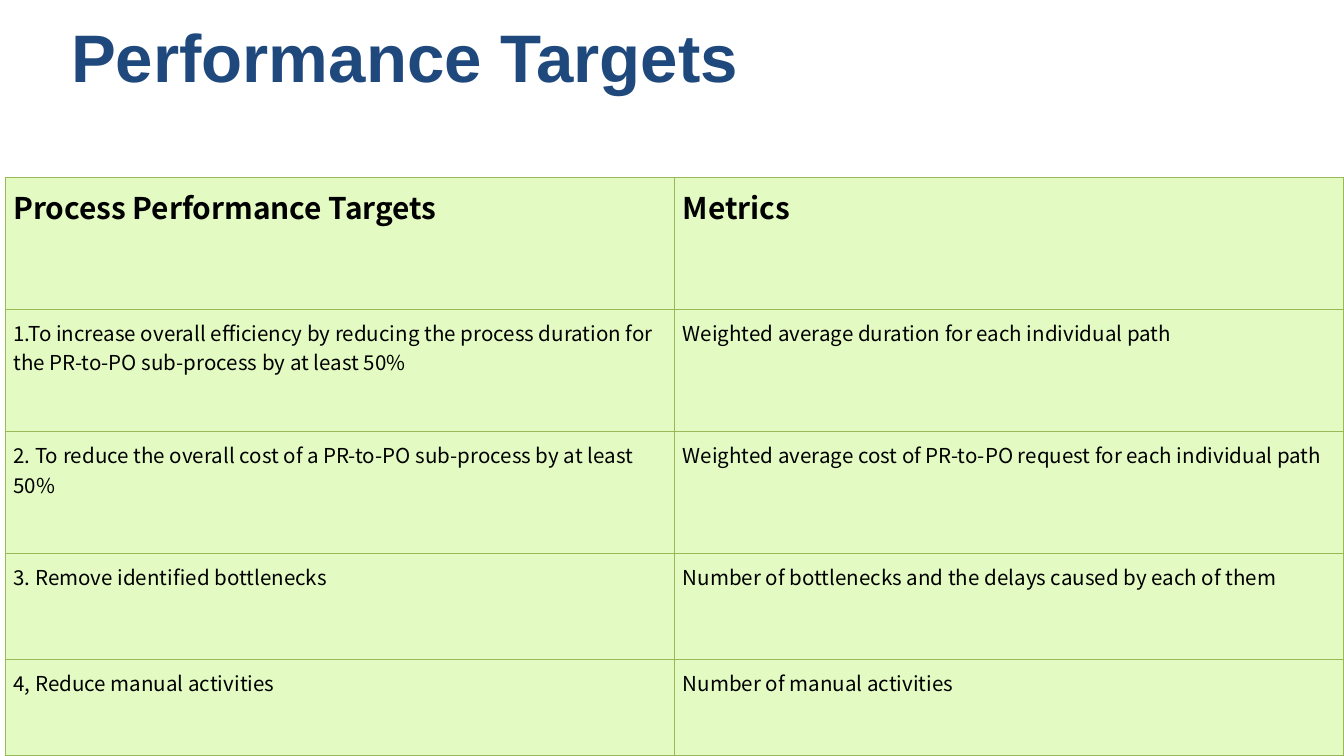
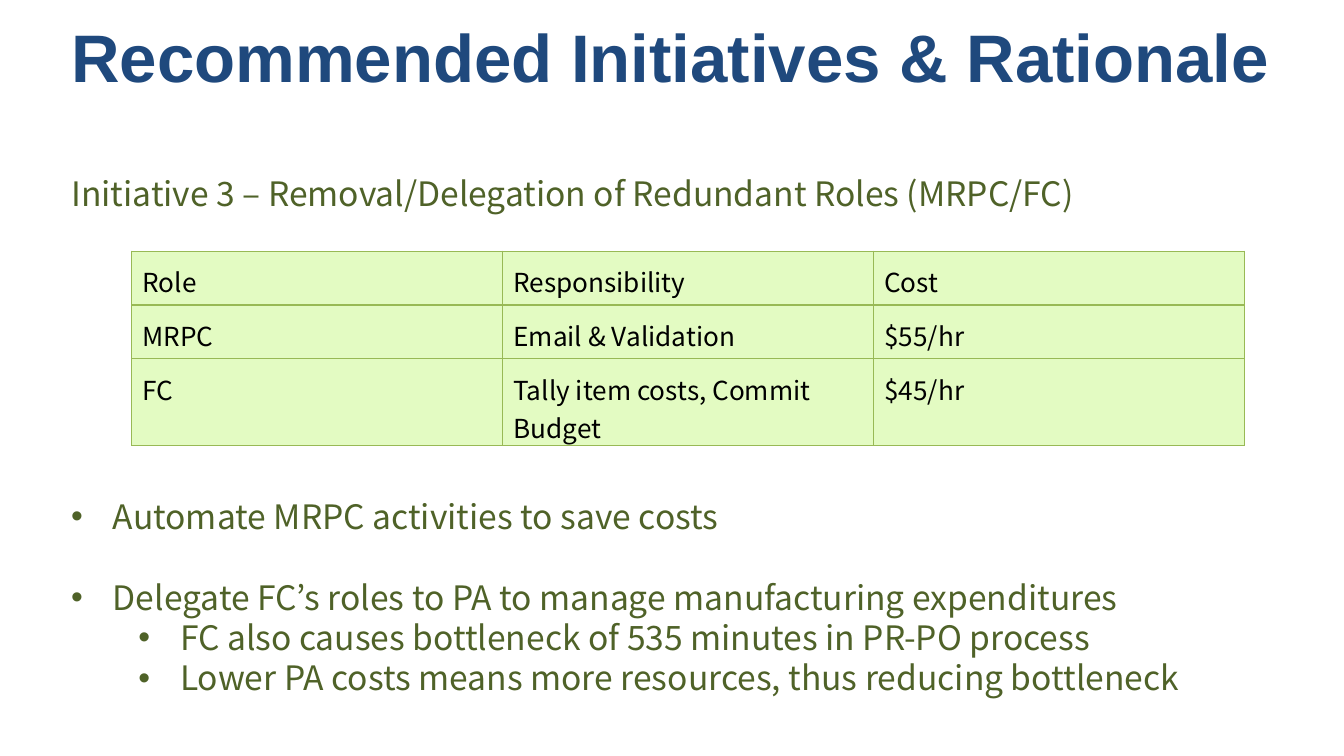
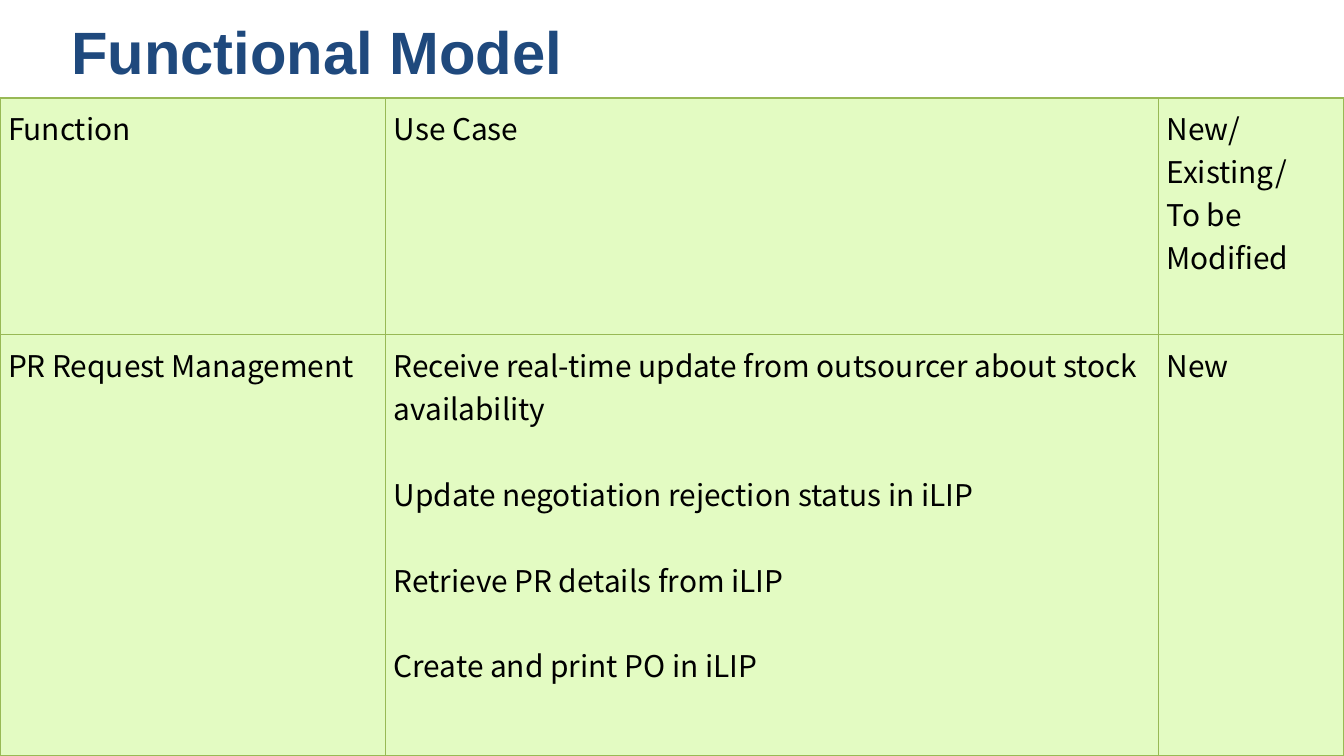
from dataclasses import dataclass

import lxml.etree
import pptx
import pptx.dml.color
import pptx.enum.text
import pptx.oxml.ns
import pptx.slide
import pptx.table
import pptx.text.text
import pptx.util
from pptx.util import Inches

# Shared look
TITLE_FONT = "Arial"
TEXT_FONT = "Noto Sans CJK KR"
TITLE_BLUE = "1F497D"
BODY_GREEN = "4F6228"
CELL_GREEN = "E3FBC2"
BORDER_GREEN = "98B955"
BLACK = "000000"
TITLE_ONLY, TITLE_AND_BODY = 5, 1
BODY_LINE = 21.6  # points between body baselines


@dataclass
class Grid:
    left: float
    top: float
    columns: list[float]
    rows: list[float]
    cells: list[list[str]]  # a line break starts a new paragraph
    header_size: float
    text_size: float
    inset: float = 0.06
    bottom_inset: float = 0.06
    bold_header: bool = False
    gap: float = 0  # points before each later paragraph below the header


@dataclass
class BodyLine:
    text: str
    level: int = 0
    bullet: bool = True
    lines_before: int = 0


def colour(value: str) -> pptx.dml.color.RGBColor:
    return pptx.dml.color.RGBColor.from_string(value)


def set_font(para: pptx.text.text._Paragraph, name: str, size: float,
             ink: str, bold: bool = False) -> None:
    font = para.font
    font.name, font.size, font.bold = name, pptx.util.Pt(size), bold
    font.color.rgb = colour(ink)


def add_child(parent: lxml.etree._Element, tag: str, **attributes: str) -> lxml.etree._Element:
    return lxml.etree.SubElement(parent, pptx.oxml.ns.qn(tag), attributes)


def add_page(deck, layout: int, title: str, size: float, height: float) -> pptx.slide.Slide:
    page = deck.slides.add_slide(deck.slide_layouts[layout])
    box = page.shapes.title
    box.left, box.top = Inches(0.43), Inches(0.06)
    box.width, box.height = Inches(9.57), Inches(height)
    frame = box.text_frame
    frame.text = title
    frame.word_wrap = True
    frame.auto_size = pptx.enum.text.MSO_AUTO_SIZE.NONE
    frame.vertical_anchor = pptx.enum.text.MSO_ANCHOR.MIDDLE
    para = frame.paragraphs[0]
    para.alignment = pptx.enum.text.PP_ALIGN.LEFT
    set_font(para, TITLE_FONT, size, TITLE_BLUE, bold=True)
    return page


# Tables
def add_borders(cell: pptx.table._Cell) -> None:
    properties = cell._tc.get_or_add_tcPr()
    for side in ("a:lnL", "a:lnR", "a:lnT", "a:lnB"):
        line = add_child(properties, side, w=str(pptx.util.Pt(0.75)))
        add_child(add_child(line, "a:solidFill"), "a:srgbClr", val=BORDER_GREEN)


def fill_cell(cell: pptx.table._Cell, text: str, grid: Grid, header: bool) -> None:
    add_borders(cell)
    cell.fill.solid()
    cell.fill.fore_color.rgb = colour(CELL_GREEN)
    cell.margin_left = cell.margin_right = cell.margin_top = Inches(grid.inset)
    cell.margin_bottom = Inches(grid.bottom_inset)
    cell.vertical_anchor = pptx.enum.text.MSO_ANCHOR.TOP
    cell.text_frame.text = text
    for index, para in enumerate(cell.text_frame.paragraphs):
        if index and not header:
            para.space_before = pptx.util.Pt(grid.gap)
        set_font(para, TEXT_FONT, grid.header_size if header else grid.text_size,
                 BLACK, bold=header and grid.bold_header)


def add_grid(page: pptx.slide.Slide, grid: Grid) -> None:
    table = page.shapes.add_table(
        len(grid.rows), len(grid.columns), Inches(grid.left), Inches(grid.top),
        Inches(sum(grid.columns)), Inches(sum(grid.rows))).table
    table.first_row = table.horz_banding = False
    for column, width in zip(table.columns, grid.columns):
        column.width = Inches(width)
    for row, height in zip(table.rows, grid.rows):
        row.height = Inches(height)
    for row_index, texts in enumerate(grid.cells):
        for column_index, text in enumerate(texts):
            fill_cell(table.cell(row_index, column_index), text, grid, row_index == 0)


# Body list
def fill_body(page: pptx.slide.Slide, lines: list[BodyLine]) -> None:
    box = page.placeholders[1]
    box.left, box.top = Inches(0.43), Inches(1.24)
    box.width, box.height = Inches(9.37), Inches(4.04)
    frame = box.text_frame
    frame.text = "\n".join(line.text for line in lines)
    frame.word_wrap = True
    frame.auto_size = pptx.enum.text.MSO_AUTO_SIZE.NONE
    frame.vertical_anchor = pptx.enum.text.MSO_ANCHOR.TOP
    for para, line in zip(frame.paragraphs, lines):
        para.level = line.level
        para.line_spacing = pptx.util.Pt(BODY_LINE)
        para.space_before = pptx.util.Pt(BODY_LINE * line.lines_before)
        properties = para._p.get_or_add_pPr()
        hang = 0.31 if line.bullet else 0
        properties.set("marL", str(Inches(hang + 0.5 * line.level)))
        properties.set("indent", str(Inches(-hang)))
        if line.bullet:
            add_child(properties, "a:buFont", typeface="Arial")
            add_child(properties, "a:buChar", char="•")
        else:
            add_child(properties, "a:buNone")
        set_font(para, TEXT_FONT, 18, BODY_GREEN)


# Content
TARGETS = Grid(
    0.04, 1.32, [4.98] * 2, [0.98, 0.91, 0.91, 0.79, 0.71],
    [["Process Performance Targets", "Metrics"],
     ["1.To increase overall efficiency by reducing the process duration for "
      "the PR-to-PO sub-process by at least 50%",
      "Weighted average duration for each individual path"],
     ["2. To reduce the overall cost of a PR-to-PO sub-process by at least 50%",
      "Weighted average cost of PR-to-PO request for each individual path"],
     ["3. Remove identified bottlenecks",
      "Number of bottlenecks and the delays caused by each of them"],
     ["4, Reduce manual activities", "Number of manual activities"]],
    header_size=16, text_size=11, bold_header=True)

ROLES = Grid(
    0.98, 1.87, [2.76] * 3, [0.4, 0.4, 0.63],
    [["Role", "Responsibility", "Cost"],
     ["MRPC", "Email & Validation", "$55/hr"],
     ["FC", "Tally item costs, Commit Budget", "$45/hr"]],
    header_size=14, text_size=14, inset=0.08, bottom_inset=0)

FUNCTIONS = Grid(
    0, 0.73, [2.87, 5.75, 1.38], [1.76, 3.13],
    [["Function", "Use Case", "New/\nExisting/\nTo be\nModified"],
     ["PR Request Management",
      "Receive real-time update from outsourcer about stock availability\n"
      "Update negotiation rejection status in iLIP\n"
      "Retrieve PR details from iLIP\n"
      "Create and print PO in iLIP",
      "New"]],
    header_size=16, text_size=16, gap=23)

INITIATIVE = [
    BodyLine("Initiative 3 – Removal/Delegation of Redundant Roles (MRPC/FC)", bullet=False),
    BodyLine("Automate MRPC activities to save costs", lines_before=7),
    BodyLine("Delegate FC’s roles to PA to manage manufacturing expenditures", lines_before=1),
    BodyLine("FC also causes bottleneck of 535 minutes in PR-PO process", level=1),
    BodyLine("Lower PA costs means more resources, thus reducing bottleneck", level=1),
]


def main() -> None:
    deck = pptx.Presentation()
    deck.slide_width = Inches(10)
    deck.slide_height = Inches(10 * 9 / 16)  # widescreen

    add_grid(add_page(deck, TITLE_ONLY, "Performance Targets", 36, 0.71), TARGETS)

    page = add_page(deck, TITLE_AND_BODY, "Recommended Initiatives & Rationale", 36, 0.71)
    fill_body(page, INITIATIVE)
    add_grid(page, ROLES)

    add_grid(add_page(deck, TITLE_ONLY, "Functional Model", 32, 0.64), FUNCTIONS)

    deck.save("out.pptx")


if __name__ == "__main__":
    main()
